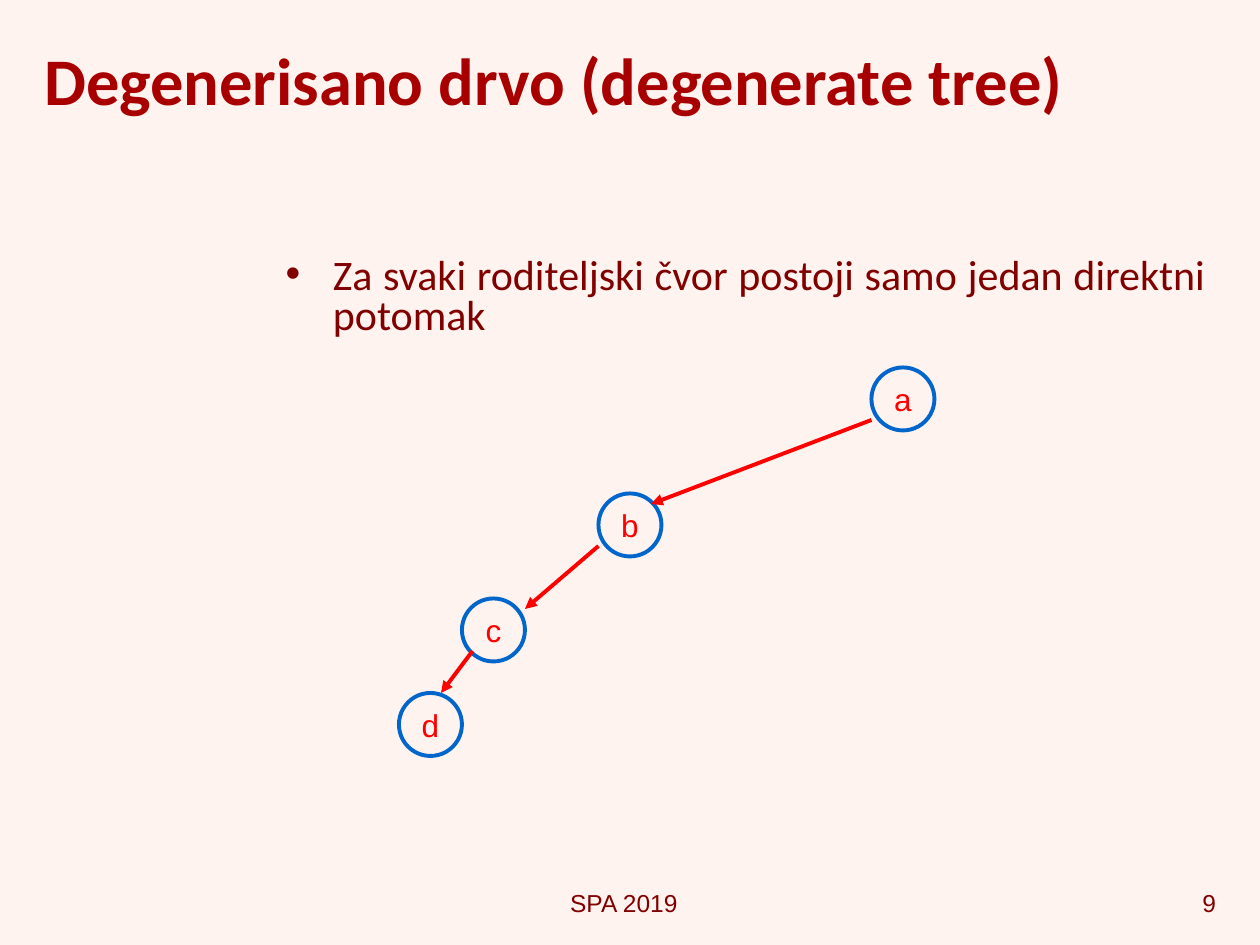
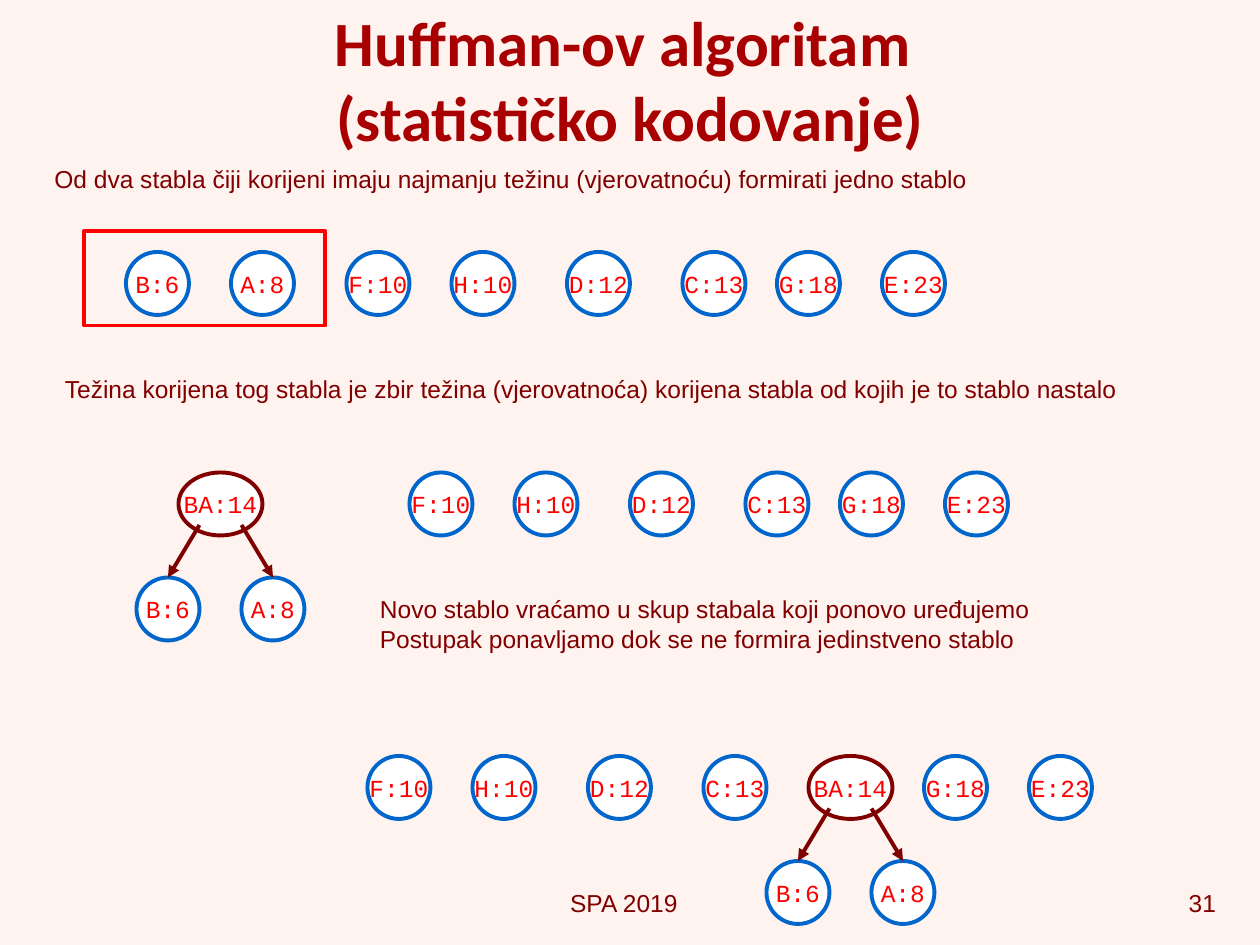
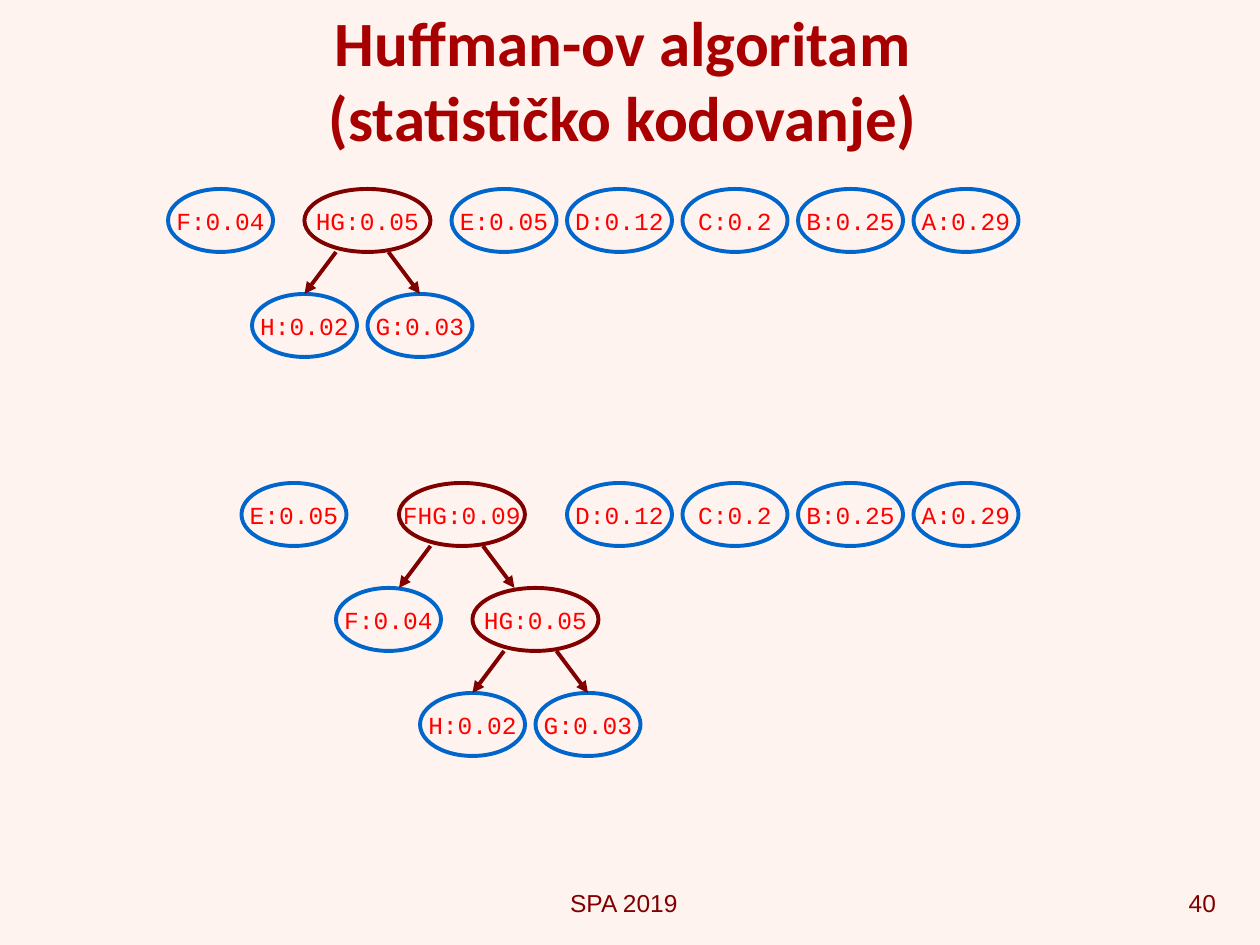
from pptx import Presentation
from pptx.dml.color import RGBColor
from pptx.enum.shapes import MSO_CONNECTOR, MSO_SHAPE
from pptx.enum.text import MSO_ANCHOR, MSO_AUTO_SIZE, PP_ALIGN as ALIGN
from pptx.oxml.ns import qn
from pptx.util import Pt
from lxml.etree import SubElement

BACKGROUND, TITLE, TEXT = "FFF3EF", "A80000", "800000"
BLUE, RED, WHITE = "0066CC", "FF0000", "FFFFFF"
LINE_WIDTH = 2.25
NODE_HEIGHT, LEVEL, REACH = 36, 60, 18


def rgb(value):
    """Turn a hex string into a colour."""
    return RGBColor.from_string(value)


def box_of(*lengths):
    """Convert lengths in points."""
    return [Pt(n) for n in lengths]


def place(sp, box):
    """Move a placeholder to a box."""
    sp.left, sp.top, sp.width, sp.height = box_of(*box)


def style(p, size, name, color, align=None, bold=None):
    """Format a paragraph and its runs."""
    p.alignment = align
    for r in p.runs:
        r.font.size, r.font.name, r.font.bold = Pt(size), name, bold
        r.font.color.rgb = rgb(color)


def add_text(s, box, text, align=ALIGN.LEFT, auto_size=MSO_AUTO_SIZE.NONE):
    """Add a wrapped text box."""
    tf = s.shapes.add_textbox(*box_of(*box)).text_frame
    tf.word_wrap, tf.auto_size = True, auto_size
    tf.text = text
    for p in tf.paragraphs:
        style(p, 14, "Arial", TEXT, align)


def add_note(s, box, text):
    """Add an explanation that grows with its text."""
    add_text(s, box, text, auto_size=MSO_AUTO_SIZE.SHAPE_TO_FIT_TEXT)


def add_slide(prs, layout, title, number, size=36, align=ALIGN.CENTER):
    """Start a slide with its title and footer."""
    s = prs.slides.add_slide(prs.slide_layouts.get_by_name(layout))
    place(s.shapes.title, (18, 6, 684, 78))
    tf = s.shapes.title.text_frame
    tf.auto_size, tf.vertical_anchor = MSO_AUTO_SIZE.NONE, MSO_ANCHOR.MIDDLE
    p = tf.paragraphs[0]
    p.text = title
    style(p, size, "Calibri", TITLE, align, True)
    add_text(s, (269, 504, 175, 24), "SPA 2019", ALIGN.CENTER)
    add_text(s, (558, 504, 144, 24), str(number), ALIGN.RIGHT)
    return s


def add_outline(s, kind, box, line, fill=None):
    """Add an outlined shape, with or without a fill."""
    sp = s.shapes.add_shape(kind, *box_of(*box))
    sp.shadow.inherit = False
    if fill:
        sp.fill.solid()
        sp.fill.fore_color.rgb = rgb(fill)
    else:
        sp.fill.background()
    sp.line.color.rgb, sp.line.width = rgb(line), Pt(LINE_WIDTH)
    return sp


def add_node(s, x, y, label, width=36, line=BLUE, fill=None, size=14, name="Courier New"):
    """Add a labelled tree node."""
    sp = add_outline(s, MSO_SHAPE.OVAL, (x, y, width, NODE_HEIGHT), line, fill)
    tf = sp.text_frame
    tf.word_wrap, tf.vertical_anchor = False, MSO_ANCHOR.MIDDLE
    tf.text = label
    style(tf.paragraphs[0], size, name, RED, ALIGN.CENTER)


def add_row(s, x, y, labels, offsets, **look):
    """Add a row of nodes at offsets from its left end."""
    for label, offset in zip(labels, offsets):
        add_node(s, x + offset, y, label, **look)


def add_arrow(s, start, end, color):
    """Add a straight arrow."""
    c = s.shapes.add_connector(MSO_CONNECTOR.STRAIGHT, *box_of(*start, *end))
    c.line.color.rgb, c.line.width = rgb(color), Pt(LINE_WIDTH)
    SubElement(c.line._get_or_add_ln(), qn("a:tailEnd"), type="triangle")
    SubElement(c._element.spPr, qn("a:effectLst"))


def add_fork(s, x, y, label, width, exits, depth, fill=None):
    """Add a parent node with arrows to two children."""
    add_node(s, x, y, label, width, TEXT, fill)
    for out, side in zip(exits, (-1, 1)):
        add_arrow(s, (x + out, y + depth), (x + out + side * REACH, y + LEVEL), TEXT)


def add_sum_tree(s, x, y):
    """Add the tree made of B and A."""
    add_row(s, x, y + LEVEL, ["B:6", "A:8"], [-24, 36], fill=WHITE)
    add_fork(s, x, y, "BA:14", 48, (12, 36), 30, WHITE)


def add_wide_fork(s, x, y, label):
    """Add a wide parent node with its arrows."""
    add_fork(s, x, y, label, 72, (18, 48), NODE_HEIGHT)


def add_hg_tree(s, x, y):
    """Add the tree made of H and G."""
    add_row(s, x, y + LEVEL, ["H:0.02", "G:0.03"], [-30, 36], width=60)
    add_wide_fork(s, x, y, "HG:0.05")


def degenerate_slide(prs):
    """Build the degenerate tree slide."""
    s = add_slide(prs, "Title and Content", "Degenerisano drvo (degenerate tree)", 9, 38, ALIGN.LEFT)
    body = s.placeholders[1]
    place(body, (156, 144, 540, 54))
    tf = body.text_frame
    tf.auto_size = MSO_AUTO_SIZE.NONE
    tf.text = "Za svaki roditeljski čvor postoji samo jedan direktni potomak"
    p = tf.paragraphs[0]
    p.line_spacing, p.space_before = 0.8, Pt(0)
    pPr = p._p.get_or_add_pPr()
    pPr.set("marL", str(Pt(27)))
    pPr.set("indent", str(-Pt(27)))
    SubElement(pPr, qn("a:buChar"), char="•")
    style(p, 24, "Calibri", TEXT, ALIGN.JUSTIFY)
    nodes = {"a": (498, 210), "b": (342, 282), "c": (264, 342), "d": (228, 396)}
    for label, (x, y) in nodes.items():
        add_node(s, x, y, label, fill=BACKGROUND, size=18, name="Arial")
    arrows = [((498, 240), (372, 288)), ((342, 312), (300, 348)), ((270, 372), (252, 396))]
    for start, end in arrows:
        add_arrow(s, start, end, RED)


def weights_slide(prs):
    """Build the slide that joins the two lightest trees."""
    s = add_slide(prs, "Title Only", "Huffman-ov algoritam \v(statističko kodovanje)", 31)
    rest = ["F:10", "H:10", "D:12", "C:13", "G:18", "E:23"]
    offsets = [0, 60, 126, 192, 246, 306]
    add_note(s, (24, 90, 678, 41),
             "Od dva stabla čiji korijeni imaju najmanju težinu (vjerovatnoću) formirati jedno stablo")
    add_row(s, 72, 144, ["B:6", "A:8"], [0, 60], fill=WHITE)
    add_row(s, 198, 144, rest, offsets, fill=WHITE)
    add_outline(s, MSO_SHAPE.RECTANGLE, (48, 132, 138, 54), RED)
    add_note(s, (30, 210, 678, 41),
             "Težina korijena tog stabla je zbir težina (vjerovatnoća) korijena stabla "
             "od kojih je to stablo nastalo")
    add_sum_tree(s, 102, 270)
    add_row(s, 234, 270, rest, offsets, fill=WHITE)
    add_note(s, (210, 336, 486, 44),
             "Novo stablo vraćamo u skup stabala koji ponovo uređujemo\n"
             "Postupak ponavljamo dok se ne formira jedinstveno stablo")
    add_row(s, 210, 432, rest, offsets[:4] + [n + 72 for n in offsets[4:]], fill=WHITE)
    add_sum_tree(s, 462, 432)


def probabilities_slide(prs):
    """Build the slide with two steps on probabilities."""
    s = add_slide(prs, "Title Only", "Huffman-ov algoritam \v(statističko kodovanje) ", 40)
    rest = ["D:0.12", "C:0.2", "B:0.25", "A:0.29"]
    offsets = range(0, 264, 66)
    for y in (108, 276):
        add_row(s, 324, y, rest, offsets, width=60)
    add_row(s, 96, 108, ["F:0.04", "E:0.05"], [0, 162], width=60)
    add_hg_tree(s, 174, 108)
    add_node(s, 138, 276, "E:0.05", 60)
    add_node(s, 192, 336, "F:0.04", 60)
    add_hg_tree(s, 270, 336)
    add_wide_fork(s, 228, 276, "FHG:0.09")


def main():
    """Build and save the presentation."""
    prs = Presentation()
    prs.slide_width, prs.slide_height = Pt(720), Pt(540)
    fill = prs.slide_master.background.fill
    fill.solid()
    fill.fore_color.rgb = rgb(BACKGROUND)
    degenerate_slide(prs)
    weights_slide(prs)
    probabilities_slide(prs)
    prs.save("out.pptx")


if __name__ == "__main__":
    main()
